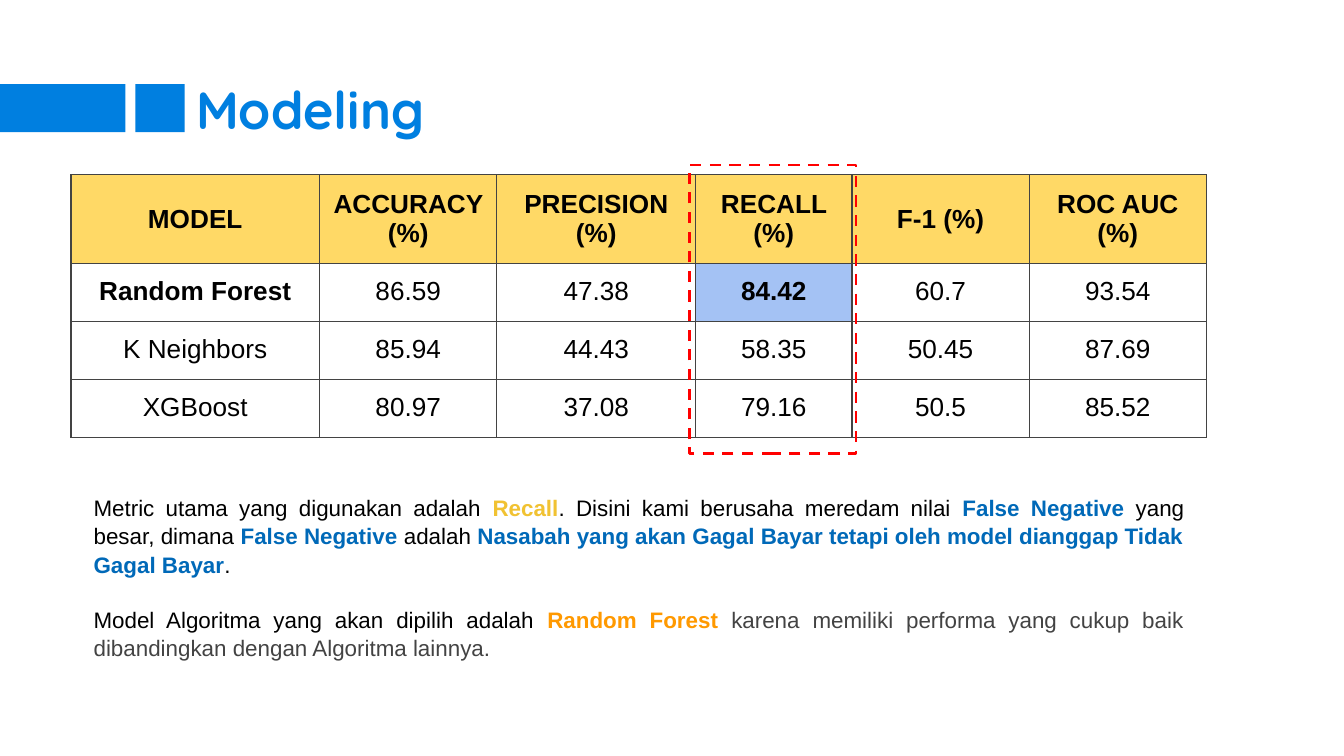
"""Build the Modeling slide with its model comparison table."""
from lxml import etree
from pptx import Presentation
from pptx.dml.color import RGBColor
from pptx.enum.dml import MSO_LINE
from pptx.enum.shapes import MSO_SHAPE
from pptx.enum.text import MSO_ANCHOR, PP_ALIGN
from pptx.oxml.ns import qn
from pptx.util import Cm, Pt

RECTANGLE = MSO_SHAPE.RECTANGLE
DASH = MSO_LINE.DASH
MIDDLE, TOP = MSO_ANCHOR.MIDDLE, MSO_ANCHOR.TOP
LEFT, CENTER, JUSTIFY = PP_ALIGN.LEFT, PP_ALIGN.CENTER, PP_ALIGN.JUSTIFY

BLUE = RGBColor(0x00, 0x7F, 0xE0)
DARK_BLUE = RGBColor(0x00, 0x69, 0xB8)
LIGHT_BLUE = RGBColor(0xA4, 0xC2, 0xF4)
YELLOW = RGBColor(0xFF, 0xD9, 0x66)
GOLD = RGBColor(0xF1, 0xC2, 0x32)
ORANGE = RGBColor(0xFF, 0x99, 0x00)
RED = RGBColor(0xFF, 0x00, 0x00)
GRAY = RGBColor(0x43, 0x43, 0x43)
BLACK = RGBColor(0x00, 0x00, 0x00)
INSET = Cm(0.25)


def add_span(para, text, size, color, bold=False, font="Arial"):
    span = para.add_run()
    span.text = text
    span.font.name = font
    span.font.size = Pt(size)
    span.font.bold = bold
    span.font.color.rgb = color


def add_text_box(page, left, top, width, height, anchor, alignment):
    frame = page.shapes.add_textbox(Cm(left), Cm(top), Cm(width), Cm(height)).text_frame
    frame.word_wrap = True
    frame.vertical_anchor = anchor
    frame.margin_left = frame.margin_right = INSET
    frame.margin_top = frame.margin_bottom = INSET
    para = frame.paragraphs[0]
    para.alignment = alignment
    return para


deck = Presentation()
deck.slide_width = Cm(25.4)
deck.slide_height = Cm(14.29)
page = deck.slides.add_slide(deck.slide_layouts[6])

for left, width in ((0, 2.37), (2.56, 0.93)):
    bar = page.shapes.add_shape(RECTANGLE, Cm(left), Cm(1.59), Cm(width), Cm(0.91))
    bar.shadow.inherit = False
    bar.fill.solid()
    bar.fill.fore_color.rgb = BLUE
    bar.line.fill.background()

title = add_text_box(page, 3.46, 1.45, 17.22, 1.19, MIDDLE, LEFT)
add_span(title, "Modeling", 28, BLUE, True, "Quicksand")

ROWS = [
    ["MODEL", "ACCURACY (%)", "PRECISION (%)", "RECALL (%)", "F-1 (%)", "ROC AUC (%)"],
    ["Random Forest", "86.59", "47.38", "84.42", "60.7", "93.54"],
    ["K Neighbors", "85.94", "44.43", "58.35", "50.45", "87.69"],
    ["XGBoost", "80.97", "37.08", "79.16", "50.5", "85.52"],
]
COLUMN_WIDTHS = [4.7, 3.35, 3.76, 2.95, 3.35, 3.35]
ROW_HEIGHTS = [1.63, 1.06, 1.06, 1.06]
BEST_MODEL, BEST_RECALL = (1, 0), (1, 3)

table = page.shapes.add_table(
    len(ROWS), len(COLUMN_WIDTHS), Cm(1.34), Cm(3.3),
    Cm(sum(COLUMN_WIDTHS)), Cm(sum(ROW_HEIGHTS)),
).table
table.first_row = table.horz_banding = False
for column, width in zip(table.columns, COLUMN_WIDTHS):
    column.width = Cm(width)
for row, height in zip(table.rows, ROW_HEIGHTS):
    row.height = Cm(height)

for row_index, texts in enumerate(ROWS):
    for column_index, text in enumerate(texts):
        place = (row_index, column_index)
        cell = table.cell(*place)
        cell.margin_left = cell.margin_right = INSET
        cell.margin_top = cell.margin_bottom = INSET
        cell.vertical_anchor = MIDDLE if row_index == 0 else TOP
        properties = cell._tc.get_or_add_tcPr()
        for side in ("a:lnL", "a:lnR", "a:lnT", "a:lnB"):
            border = etree.SubElement(properties, qn(side), w=str(Pt(0.75)))
            paint = etree.SubElement(border, qn("a:solidFill"))
            etree.SubElement(paint, qn("a:srgbClr"), val=str(GRAY))
        if row_index == 0 or place == BEST_RECALL:
            cell.fill.solid()
            cell.fill.fore_color.rgb = YELLOW if row_index == 0 else LIGHT_BLUE
        else:
            cell.fill.background()
        para = cell.text_frame.paragraphs[0]
        para.alignment = CENTER
        bold = row_index == 0 or place in (BEST_MODEL, BEST_RECALL)
        add_span(para, text, 14, BLACK, bold)

recall_frame = page.shapes.add_shape(RECTANGLE, Cm(13.03), Cm(3.12), Cm(3.15), Cm(5.46))
recall_frame.shadow.inherit = False
recall_frame.fill.background()
recall_frame.line.color.rgb = RED
recall_frame.line.width = Pt(1.5)
recall_frame.line.dash_style = DASH

NOTES = [
    (9.07, 2.06, [
        ("Metric utama yang digunakan adalah ", BLACK, False),
        ("Recall", GOLD, True),
        (". Disini kami berusaha meredam nilai ", BLACK, False),
        ("False Negative ", DARK_BLUE, True),
        ("yang besar, dimana ", BLACK, False),
        ("False Negative ", DARK_BLUE, True),
        ("adalah ", BLACK, False),
        ("Nasabah yang akan Gagal Bayar tetapi oleh model dianggap Tidak Gagal Bayar",
         DARK_BLUE, True),
        (". ", BLACK, False),
    ]),
    (11.18, 1.47, [
        ("Model Algoritma yang akan dipilih adalah ", BLACK, False),
        ("Random Forest ", ORANGE, True),
        ("karena memiliki performa yang cukup baik dibandingkan dengan Algoritma lainnya.",
         GRAY, False),
    ]),
]
for top, height, spans in NOTES:
    para = add_text_box(page, 1.52, top, 21.11, height, TOP, JUSTIFY)
    para.line_spacing = 1.05
    for text, color, bold in spans:
        add_span(para, text, 12, color, bold)

deck.save("out.pptx")
